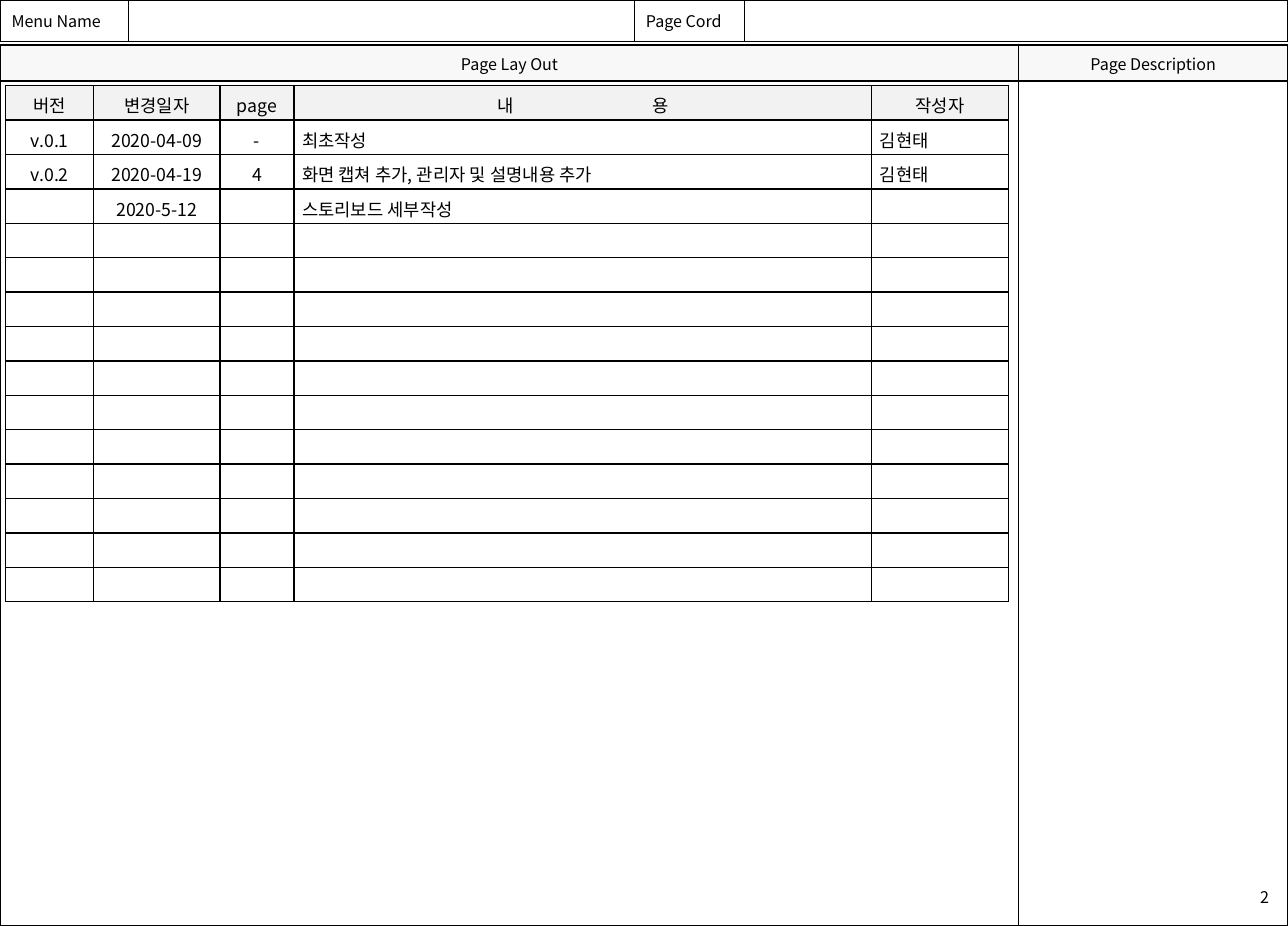
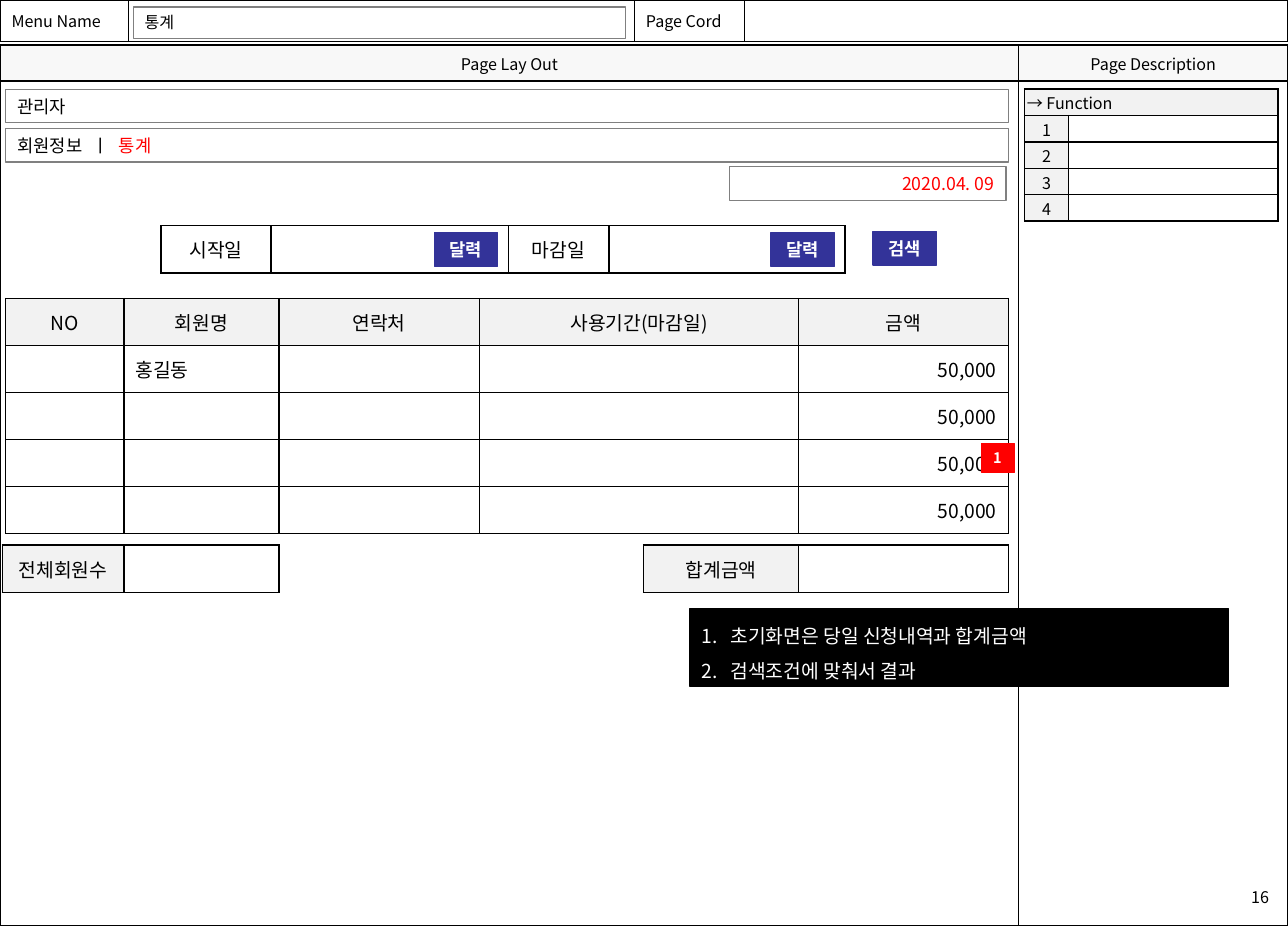
import pptx
import pptx.util
import pptx.dml.color
import pptx.enum.shapes
import pptx.enum.text
import pptx.oxml
import pptx.oxml.ns
from lxml import etree

Inches, Pt = pptx.util.Inches, pptx.util.Pt
qn = pptx.oxml.ns.qn
color = pptx.dml.color.RGBColor.from_string
ALIGN = {
    "l": pptx.enum.text.PP_ALIGN.LEFT,
    "c": pptx.enum.text.PP_ALIGN.CENTER,
    "r": pptx.enum.text.PP_ALIGN.RIGHT,
}
MIDDLE = pptx.enum.text.MSO_ANCHOR.MIDDLE
RECT = pptx.enum.shapes.MSO_SHAPE.RECTANGLE
FONT = "Noto Sans CJK KR"
BLACK, WHITE, RED, BLUE = "000000", "FFFFFF", "FF0000", "333399"
GREY, SHADE, BAND = "808080", "F2F2F2", "F8F8F8"


def write(para, text, size, align="l", ink=BLACK, bold=False):
    """Text is a string, or a list of (string, colour, letter gap in points)."""
    para.alignment = ALIGN[align]
    para.font.size = Pt(size)
    para.font.bold = bold
    para.font.name = FONT
    para.font.color.rgb = color(ink)
    base = para._p.pPr.find(qn("a:defRPr"))
    etree.SubElement(base, qn("a:ea")).set("typeface", FONT)
    if not text:
        end = etree.SubElement(para._p, qn("a:endParaRPr"))
        end.set("sz", str(size * 100))
        for tag in ("a:latin", "a:ea"):
            etree.SubElement(end, qn(tag)).set("typeface", FONT)
    for part, tint, gap in [(text, ink, 0)] if isinstance(text, str) else text:
        if part:
            run = para.add_run()
            run.text = part
            if tint != ink:
                run.font.color.rgb = color(tint)
            if gap:
                run._r.get_or_add_rPr().set("spc", str(round(gap * 100)))


def grid(slide, left, top, cols, highs, rows, size, aligns, heads="",
         shade=SHADE, base=None, pad=(Inches(0.1), Inches(0.05))):
    """Heads names the shaded parts: r for the first row, c for the first column."""
    frame = slide.shapes.add_table(
        len(rows), len(cols), Inches(left), Inches(top),
        Inches(sum(cols)), Inches(sum(highs)))
    table = frame.table
    table.first_row = table.horz_banding = False
    for col, width in zip(table.columns, cols):
        col.width = Inches(width)
    for row, high in zip(table.rows, highs):
        row.height = Inches(high)
    for y, line in enumerate(rows):
        for x, text in enumerate(line):
            cell = table.cell(y, x)
            cell.vertical_anchor = MIDDLE
            cell.margin_left = cell.margin_right = pad[0]
            cell.margin_top = cell.margin_bottom = pad[1]
            top_row = "r" in heads and y == 0
            fill = shade if top_row or ("c" in heads and x == 0) else base
            props = cell._tc.get_or_add_tcPr()
            for side in ("a:lnL", "a:lnR", "a:lnT", "a:lnB"):
                edge = etree.SubElement(props, qn(side), w=str(Pt(1)))
                solid = etree.SubElement(edge, qn("a:solidFill"))
                etree.SubElement(solid, qn("a:srgbClr"), val=BLACK)
            if fill:
                cell.fill.solid()
                cell.fill.fore_color.rgb = color(fill)
            else:
                cell.fill.background()
            align = "c" if top_row else aligns[x]
            write(cell.text_frame.paragraphs[0], text, size, align)
    return table


deck = pptx.Presentation()
deck.slide_width, deck.slide_height = Pt(801), Inches(8)
log = deck.slides.add_slide(deck.slide_layouts[6])
stats = deck.slides.add_slide(deck.slide_layouts[5])

# Shared frame: page areas, menu bar and page number
for slide, number in ((log, "2"), (stats, "16")):
    grid(slide, 0, 0.39, [8.8, 2.32], [0.31, 7.3],
         [["Page Lay Out", "Page Description"], ["", ""]],
         10, "cc", "r", BAND, pad=(0, 0))
    grid(slide, 0, 0, [1.11, 4.37, 0.95, 4.69], [0.36],
         [["Menu Name", "", "Page Cord", ""]], 10, "llll")
    note = slide.shapes.add_textbox(
        Inches(9.24), Inches(7.61), Inches(1.84), Inches(0.32)).text_frame
    note.word_wrap = True
    note.margin_left = note.margin_right = Inches(0.12)
    note.margin_top = note.margin_bottom = Inches(0.06)
    write(note.paragraphs[0], number, 10, "r")

# Version history
head = [("내", BLACK, 0), (" ", BLACK, 84), ("용", BLACK, 0)]
rows = [
    ["버전", "변경일자", "page", head, "작성자"],
    ["v.0.1", "2020-04-09", "-", "최초작성", "김현태"],
    ["v.0.2", "2020-04-19", "4", "화면 캡쳐 추가, 관리자 및 설명내용 추가", "김현태"],
    ["", "2020-5-12", "", "스토리보드 세부작성", ""],
] + [[""] * 5 for _ in range(11)]
grid(log, 0.05, 0.74, [0.76, 1.09, 0.64, 4.99, 1.18], [3.96 / 15] * 15,
     rows, 11, "cccll", "r", pad=(Inches(0.07), Pt(4.1)))

# Member payments
rows = [["NO", "회원명", "연락처", "사용기간(마감일)", "금액"]]
rows += [["", name, "", "", "50,000"] for name in ("홍길동", "", "", "")]
grid(stats, 0.05, 2.58, [1.02, 1.34, 1.73, 2.76, 1.81], [2.03 / 5] * 5,
     rows, 12, "clccr", "r", base=WHITE)

# Totals and search dates
for left, top, cols, line, heads in (
    (5.56, 4.71, [1.34, 1.81], ["합계금액", ""], "c"),
    (0.02, 4.71, [1.05, 1.34], ["전체회원수", ""], "c"),
    (1.39, 1.95, [0.95, 2.05, 0.87, 2.04], ["시작일", "", "마감일", ""], ""),
):
    grid(stats, left, top, cols, [0.41], [line], 12, "cccc", heads, base=WHITE)

# Function list
rows = [["→ Function", ""]] + [[str(n), ""] for n in range(1, 5)]
table = grid(stats, 8.85, 0.77, [0.38, 1.81], [1.14 / 5] * 5,
             rows, 10, "cl", "rc", base=WHITE, pad=(Inches(0.02), Inches(0.02)))
table.cell(0, 0).merge(table.cell(0, 1))
table.cell(0, 0).text_frame.paragraphs[0].alignment = ALIGN["l"]

# Title, bars, buttons, marker and note
trail = [("회원정보", BLACK, 0), (" ", BLACK, 3.8), ("ㅣ", BLACK, 0),
         (" ", BLACK, 3.8), ("통계", RED, 0)]
steps = ["초기화면은 당일 신청내역과 합계금액", "검색조건에 맞춰서 결과"]
for left, top, wide, high, fill, edge, lines, size, align, ink in (
    (1.15, 0.06, 4.25, 0.27, None, GREY, ["통계"], 10, "l", BLACK),
    (0.05, 0.77, 8.66, 0.29, None, GREY, ["관리자"], 11, "l", BLACK),
    (0.05, 1.11, 8.66, 0.29, None, GREY, [trail], 11, "l", BLACK),
    (6.3, 1.44, 2.39, 0.29, None, GREY, ["2020.04. 09"], 11, "r", RED),
    (3.75, 2.01, 0.55, 0.29, BLUE, BLUE, ["달력"], 11, "c", WHITE),
    (6.66, 2.01, 0.55, 0.29, BLUE, BLUE, ["달력"], 11, "c", WHITE),
    (7.54, 2, 0.55, 0.29, BLUE, BLUE, ["검색"], 11, "c", WHITE),
    (8.48, 3.83, 0.28, 0.25, RED, RED, ["1"], 9, "l", WHITE),
    (5.96, 5.26, 4.65, 0.67, BLACK, BLACK, steps, 12, "l", WHITE),
):
    spot = Inches(left), Inches(top), Inches(wide), Inches(high)
    if lines == ["통계"]:
        box = stats.shapes.title
        box.left, box.top, box.width, box.height = spot
    else:
        box = stats.shapes.add_shape(RECT, *spot)
        box.shadow.inherit = False
    if fill:
        box.fill.solid()
        box.fill.fore_color.rgb = color(fill)
    else:
        box.fill.background()
    box.line.color.rgb = color(edge)
    box.line.width = Pt(0.75)
    frame = box.text_frame
    frame.auto_size = pptx.enum.text.MSO_AUTO_SIZE.NONE
    frame.word_wrap = lines != ["1"]
    frame.vertical_anchor = MIDDLE
    for n, text in enumerate(lines):
        para = frame.add_paragraph() if n else frame.paragraphs[0]
        if lines is steps:
            para.line_spacing = 1.5
            props = para._p.get_or_add_pPr()
            props.set("marL", str(Inches(0.25)))
            props.set("indent", str(-Inches(0.25)))
            etree.SubElement(props, qn("a:buFont"), typeface="+mj-lt")
            etree.SubElement(props, qn("a:buAutoNum"), type="arabicPeriod")
        write(para, text, size, align, ink, fill in (BLUE, RED))

deck.save("out.pptx")
